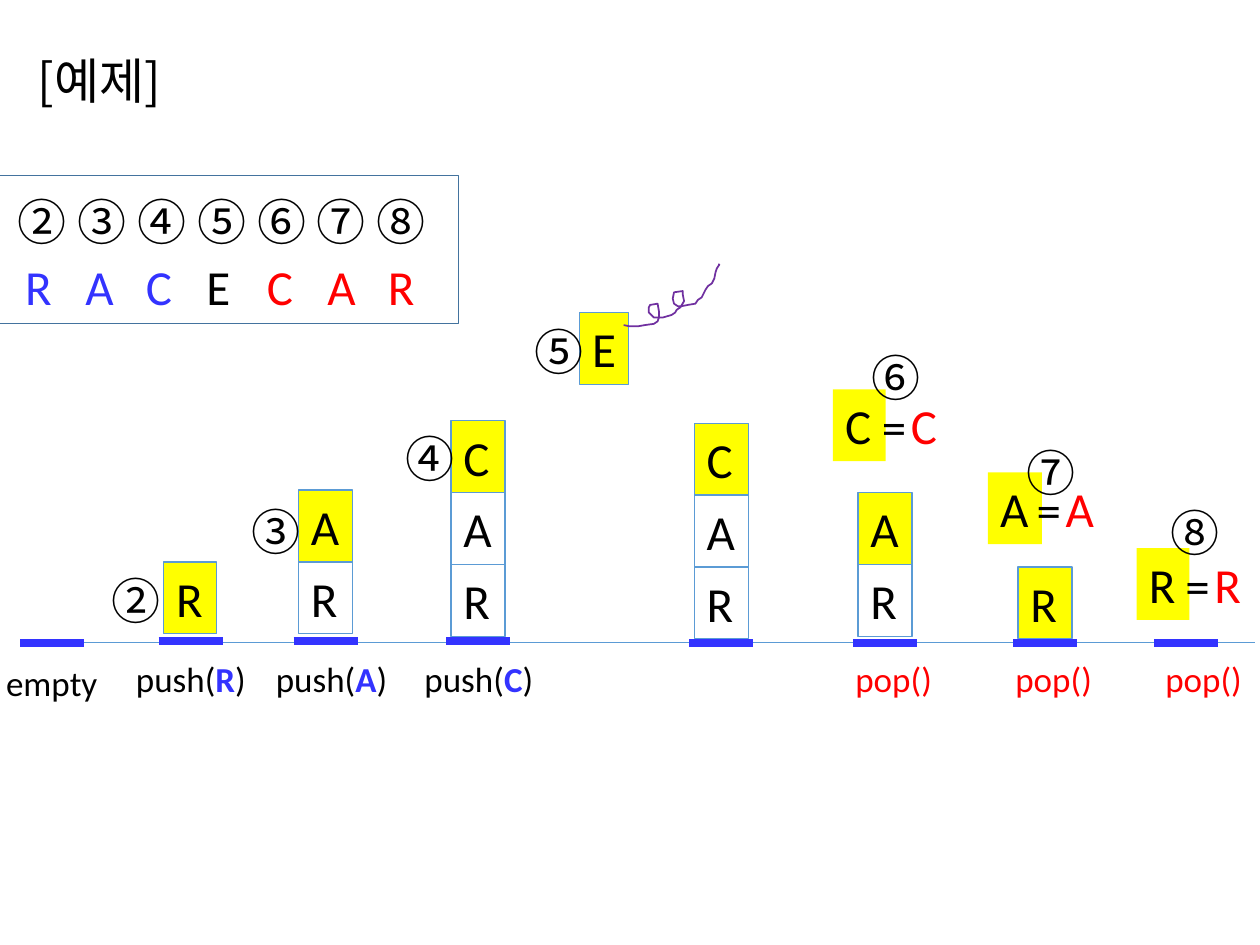
from dataclasses import dataclass

from lxml.etree import SubElement
from pptx import Presentation
from pptx.dml.color import RGBColor as Color
from pptx.enum.shapes import MSO_CONNECTOR as Connector, MSO_SHAPE as Shape
from pptx.enum.text import MSO_AUTO_SIZE as AutoSize
from pptx.oxml.ns import qn
from pptx.util import Inches, Pt


@dataclass(frozen=True)
class Theme:
    latin: str = "Calibri"
    korean: str = "Noto Sans CJK KR"
    large: int = 28
    small: int = 20
    ink: str = "000000"
    blue: str = "3333FF"
    red: str = "FF0000"
    yellow: str = "FFFF00"
    edge: str = "5B9BD5"
    frame: str = "43739E"
    purple: str = "7030A0"


THEME = Theme()
CELL_HEIGHT = 0.57
CELL_WIDTH = 0.43
TAB_STEP = 0.48

STACKS = [
    (1.3, 4.46, "R", 0.42, 5.09),
    (2.37, 3.89, "AR", CELL_WIDTH, 5.09),
    (3.58, 3.34, "CAR", CELL_WIDTH, 5.09),
    (5.51, 3.36, "CAR", CELL_WIDTH, 5.1),
    (6.81, 3.91, "AR", CELL_WIDTH, 5.1),
    (8.08, 4.5, "R", CELL_WIDTH, 5.1),
]
MATCHES = [(6.61, 3.09, "C", 0.42), (7.84, 3.75, "A", 0.43), (9.02, 4.35, "R", 0.42)]
PUSHES = [(0.98, "R", 1.08), (2.09, "A", 1.09), (3.27, "C", 1.07)]
POPS = [6.69, 7.96, 9.15]
STEPS = [
    ("②", 0.79, 4.48), ("③", 1.9, 3.93), ("④", 3.12, 3.35), ("⑤", 4.14, 2.5),
    ("⑥", 6.82, 2.71), ("⑦", 8.05, 3.46), ("⑧", 9.19, 3.94),
]
SQUIGGLE = [
    (4.95, 2.58), (5, 2.59), (5.06, 2.59), (5.12, 2.58), (5.19, 2.57), (5.22, 2.55),
    (5.23, 2.52), (5.23, 2.47), (5.22, 2.41), (5.16, 2.42), (5.15, 2.44), (5.15, 2.48),
    (5.19, 2.52), (5.26, 2.52), (5.33, 2.5), (5.36, 2.48), (5.37, 2.46), (5.4, 2.44),
    (5.43, 2.39), (5.42, 2.34), (5.42, 2.31), (5.35, 2.32), (5.34, 2.37), (5.35, 2.41),
    (5.38, 2.43), (5.41, 2.43), (5.46, 2.42), (5.52, 2.41), (5.54, 2.38), (5.57, 2.36),
    (5.6, 2.3), (5.62, 2.27), (5.65, 2.25), (5.67, 2.21), (5.68, 2.16), (5.69, 2.13),
    (5.71, 2.1), (5.7, 2.1),
]


def rgb(value):
    return Color.from_string(value)


def add_text(page, left, top, width, spans, size=THEME.large, height=CELL_HEIGHT,
             font=THEME.latin, wrap=False):
    box = page.shapes.add_textbox(Inches(left), Inches(top), Inches(width), Inches(height))
    frame = box.text_frame
    frame.word_wrap = wrap
    frame.auto_size = AutoSize.SHAPE_TO_FIT_TEXT
    para = frame.paragraphs[0]
    for text, color, bold in spans:
        span = para.add_run()
        span.text = text
        span.font.size = Pt(size)
        span.font.bold = bold
        span.font.color.rgb = rgb(color)
        span.font.name = font
        SubElement(span.font._element, qn("a:ea"), typeface=font)
    return box


def add_plain(page, left, top, width, text, color=THEME.ink, **options):
    return add_text(page, left, top, width, [(text, color, False)], **options)


def add_cell(page, left, top, letter, width=CELL_WIDTH, filled=True, outlined=True):
    box = add_plain(page, left, top, width, letter)
    if filled:
        box.fill.solid()
        box.fill.fore_color.rgb = rgb(THEME.yellow)
    if outlined:
        box.line.color.rgb = rgb(THEME.edge)
        box.line.width = Pt(0.75)


def add_stack(page, left, top, letters, width):
    for index, letter in enumerate(letters):
        add_cell(page, left, top + index * CELL_HEIGHT, letter, width, filled=index == 0)


def add_match(page, left, top, letter, width):
    add_cell(page, left, top, letter, width, outlined=False)
    add_plain(page, left + 0.52, top, width, letter, THEME.red)
    add_plain(page, left + 0.29, top + 0.01, 0.4, "=")


def add_rule(page, left, right, top, color, weight):
    rule = page.shapes.add_connector(
        Connector.STRAIGHT, Inches(left), Inches(top), Inches(right), Inches(top))
    rule.line.color.rgb = rgb(color)
    rule.line.width = Pt(weight)
    SubElement(rule._element.spPr, qn("a:effectLst"))


def add_base(page, left, top):
    add_rule(page, left, left + 0.51, top, THEME.blue, 4.5)


def add_label(page, left, top, width, spans):
    add_text(page, left, top, width, spans, size=THEME.small, height=0.44)


def add_word(page):
    spans = [
        ("R\tA\tC", THEME.blue, False),
        ("\tE", THEME.ink, False),
        ("\tC\tA\tR", THEME.red, False),
    ]
    box = add_text(page, 0.1, 1.99, 3.38, spans, wrap=True)
    properties = box.text_frame.paragraphs[0]._p.get_or_add_pPr()
    tabs = SubElement(properties, qn("a:tabLst"))
    for stop in range(1, 7):
        SubElement(tabs, qn("a:tab"), pos=str(Inches(stop * TAB_STEP)), algn="l")


def add_squiggle(page):
    points = [(Inches(x), Inches(y)) for x, y in SQUIGGLE]
    builder = page.shapes.build_freeform(*points[0])
    builder.add_line_segments(points[1:], close=False)
    curve = builder.convert_to_shape()
    curve.shadow.inherit = False
    curve.fill.background()
    curve.line.color.rgb = rgb(THEME.purple)
    curve.line.width = Pt(1)


def add_frame(page):
    frame = page.shapes.add_shape(
        Shape.RECTANGLE, Inches(-0.03), Inches(1.39), Inches(3.67), Inches(1.18))
    frame.shadow.inherit = False
    frame.fill.background()
    frame.line.color.rgb = rgb(THEME.frame)
    frame.line.width = Pt(0.75)


def main():
    deck = Presentation()
    deck.slide_width, deck.slide_height = Inches(10), Inches(7.5)
    page = deck.slides.add_slide(deck.slide_layouts[6])

    add_word(page)
    for left, top, letters, width, _ in STACKS:
        add_stack(page, left, top, letters, width)
    add_cell(page, 4.6, 2.48, "E", 0.39)
    add_rule(page, 0.31, 9.96, 5.1, THEME.edge, 0.5)
    for left, _, _, _, base in STACKS:
        add_base(page, left - 0.04, base)
    for left in (0.16, 9.16):
        add_base(page, left, 5.1)
    for match in MATCHES:
        add_match(page, *match)

    for left in POPS:
        add_label(page, left, 5.17, 0.82, [("pop()", THEME.red, False)])
    for left, letter, width in PUSHES:
        add_label(page, left, 5.17, width, [
            ("push(", THEME.ink, False), (letter, THEME.blue, True), (")", THEME.ink, False)])
    add_label(page, -0.05, 5.2, 0.93, [("empty", THEME.ink, False)])

    numbers = " ".join(number for number, _, _ in STEPS)
    add_plain(page, 0.04, 1.47, 3.45, numbers, font=THEME.korean, wrap=True)
    for number, left, top in STEPS:
        add_plain(page, left, top, 0.55, number, font=THEME.korean)
    add_squiggle(page)
    add_frame(page)
    add_plain(page, 0.2, 0.35, 1.38, "[예제]", font=THEME.korean)
    deck.save("out.pptx")


if __name__ == "__main__":
    main()
